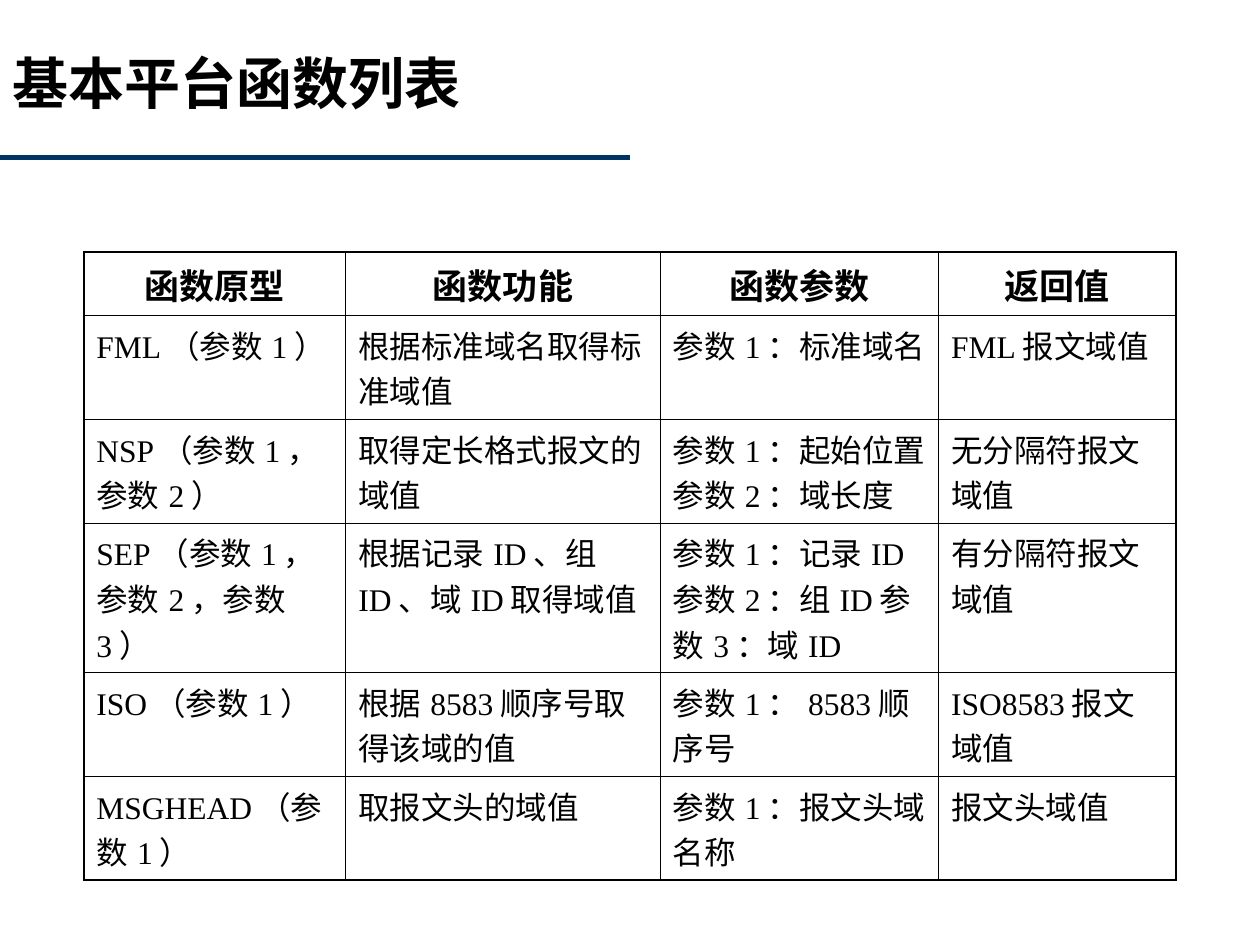
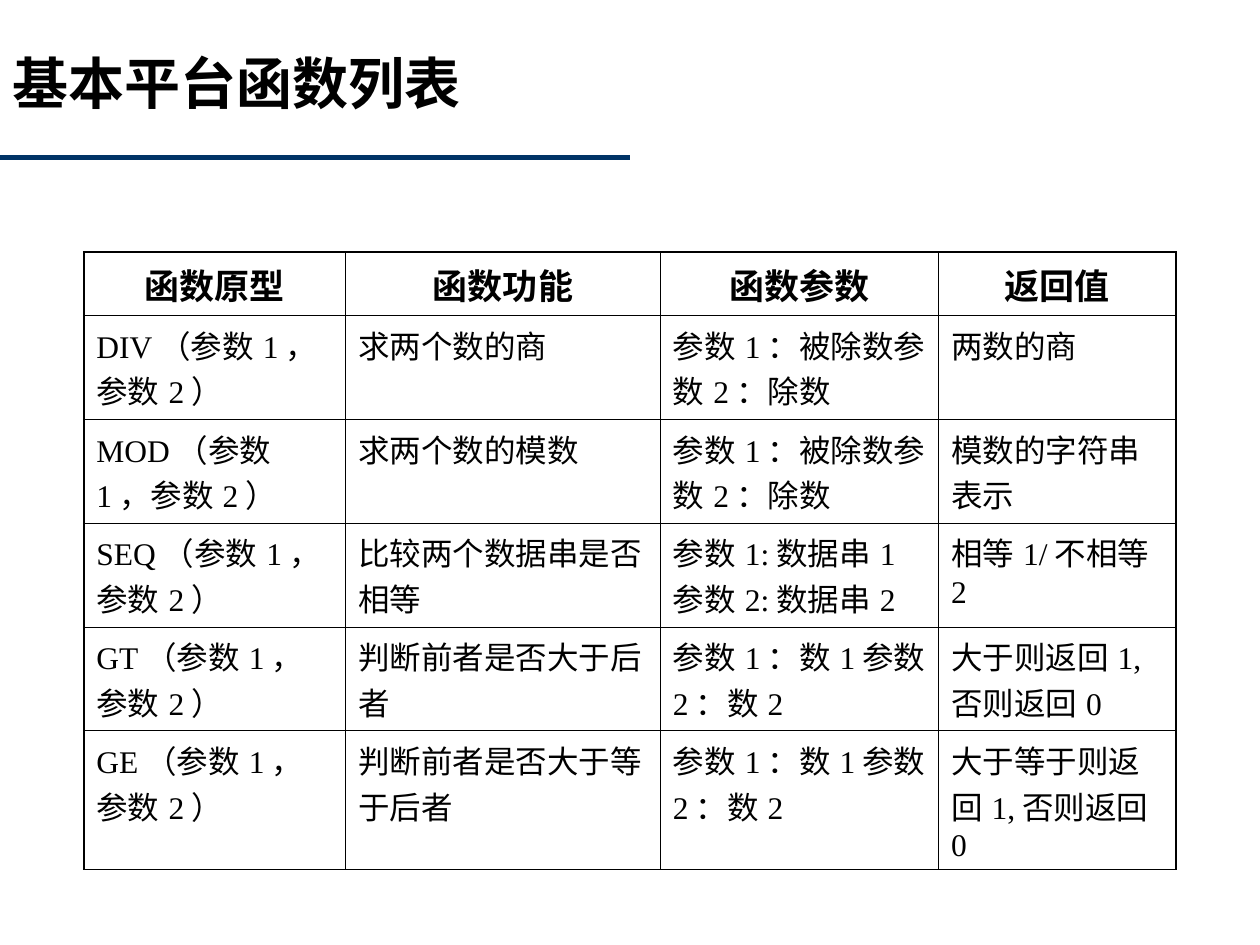
"""Build two slides that list the basic platform functions in tables."""
from lxml.etree import SubElement
from pptx import Presentation
from pptx.dml.color import RGBColor
from pptx.enum.lang import MSO_LANGUAGE_ID as Language
from pptx.enum.shapes import MSO_CONNECTOR as Connector
from pptx.enum.text import MSO_ANCHOR as Anchor, MSO_AUTO_SIZE as AutoSize, PP_ALIGN as Align
from pptx.oxml.ns import qn
from pptx.util import Cm, Pt

TITLE = "基本平台函数列表"
HEADER = ("函数原型", "函数功能", "函数参数", "返回值")
TABLES = [
    {
        "heights": (1.27, 2, 2, 2.54, 2, 2),
        "rows": [
            ("FML（参数1）", "根据标准域名取得标准域值", "参数1：标准域名", "FML报文域值"),
            ("NSP（参数1，参数2）", "取得定长格式报文的域值",
             "参数1：起始位置参数2：域长度", "无分隔符报文域值"),
            ("SEP（参数1，参数2，参数3）", "根据记录ID、组ID、域ID取得域值",
             "参数1：记录ID参数2：组ID参数3：域ID", "有分隔符报文域值"),
            ("ISO（参数1）", "根据8583顺序号取得该域的值", "参数1：8583顺序号", "ISO8583报文域值"),
            ("MSGHEAD（参数1）", "取报文头的域值", "参数1：报文头域名称", "报文头域值"),
        ],
    },
    {
        "heights": (1.2, 1.9, 1.9, 1.9, 1.9, 2.54),
        "rows": [
            ("DIV（参数1，参数2）", "求两个数的商", "参数1：被除数参数2：除数", "两数的商"),
            ("MOD（参数1，参数2）", "求两个数的模数", "参数1：被除数参数2：除数", "模数的字符串表示"),
            ("SEQ（参数1，参数2）", "比较两个数据串是否相等",
             "参数1:数据串1参数2:数据串2", "相等1/不相等2"),
            ("GT（参数1，参数2）", "判断前者是否大于后者",
             "参数1：数1参数2：数2", "大于则返回1,否则返回0"),
            ("GE（参数1，参数2）", "判断前者是否大于等于后者",
             "参数1：数1参数2：数2", "大于等于则返回1,否则返回0"),
        ],
    },
]
COLORS = {"text": "000000", "border": "000000", "rule": "003366"}
CJK_FONT, LATIN_FONT = "Noto Sans CJK SC", "Times New Roman"
COLUMN_WIDTHS = (5.28, 6.34, 5.61, 4.78)
TABLE_LEFT, TABLE_TOP = 1.69, 5.08
OUTER, INNER = Pt(1.08), Pt(0.45)


def write(frame, text, size, font=LATIN_FONT, bold=False, align=Align.LEFT):
    para = frame.paragraphs[0]
    para.alignment = align
    span = para.add_run()
    span.text = text
    span.font.size, span.font.bold, span.font.name = Pt(size), bold, font
    span.font.language_id = Language.SIMPLIFIED_CHINESE
    span.font.color.rgb = RGBColor.from_string(COLORS["text"])
    SubElement(span.font._element, qn("a:ea"), typeface=CJK_FONT)


def add_border(cell, side, width):
    line = SubElement(cell._tc.get_or_add_tcPr(), qn(f"a:ln{side}"), w=str(width))
    fill = SubElement(line, qn("a:solidFill"))
    SubElement(fill, qn("a:srgbClr"), val=COLORS["border"])


def add_heading(page):
    rule = page.shapes.add_connector(Connector.STRAIGHT, 0, Cm(3.18), Cm(12.7), Cm(3.18))
    rule.line.color.rgb = RGBColor.from_string(COLORS["rule"])
    rule.line.width = Pt(3)
    SubElement(rule._element.spPr, qn("a:effectLst"))
    title = page.shapes.title
    title.left, title.top, title.width, title.height = 0, Cm(0.85), Cm(19.25), Cm(3.18)
    title.text_frame.auto_size = AutoSize.NONE
    title.text_frame.vertical_anchor = Anchor.TOP
    write(title.text_frame, TITLE, 32, font=CJK_FONT, bold=True)


def add_function_table(page, rows, heights):
    grid = [HEADER, *rows]
    last_row, last_column = len(grid) - 1, len(HEADER) - 1
    table = page.shapes.add_table(
        len(grid), len(HEADER), Cm(TABLE_LEFT), Cm(TABLE_TOP),
        Cm(sum(COLUMN_WIDTHS)), Cm(sum(heights))).table
    table.first_row = table.horz_banding = False
    for column, width in zip(table.columns, COLUMN_WIDTHS):
        column.width = Cm(width)
    for r, (texts, height) in enumerate(zip(grid, heights)):
        table.rows[r].height = Cm(height)
        for c, text in enumerate(texts):
            cell = table.cell(r, c)
            edges = {"L": c == 0, "R": c == last_column, "T": r == 0, "B": r == last_row}
            for side, is_outer in edges.items():
                add_border(cell, side, OUTER if is_outer else INNER)
            cell.fill.background()
            if r == 0:
                write(cell.text_frame, text, 20, bold=True, align=Align.CENTER)
            else:
                write(cell.text_frame, text, 18)


def main():
    deck = Presentation()
    deck.slide_width, deck.slide_height = Cm(25.4), Cm(19.05)
    for content in TABLES:
        page = deck.slides.add_slide(deck.slide_layouts.get_by_name("Title Only"))
        add_heading(page)
        add_function_table(page, **content)
    deck.save("out.pptx")


if __name__ == "__main__":
    main()
